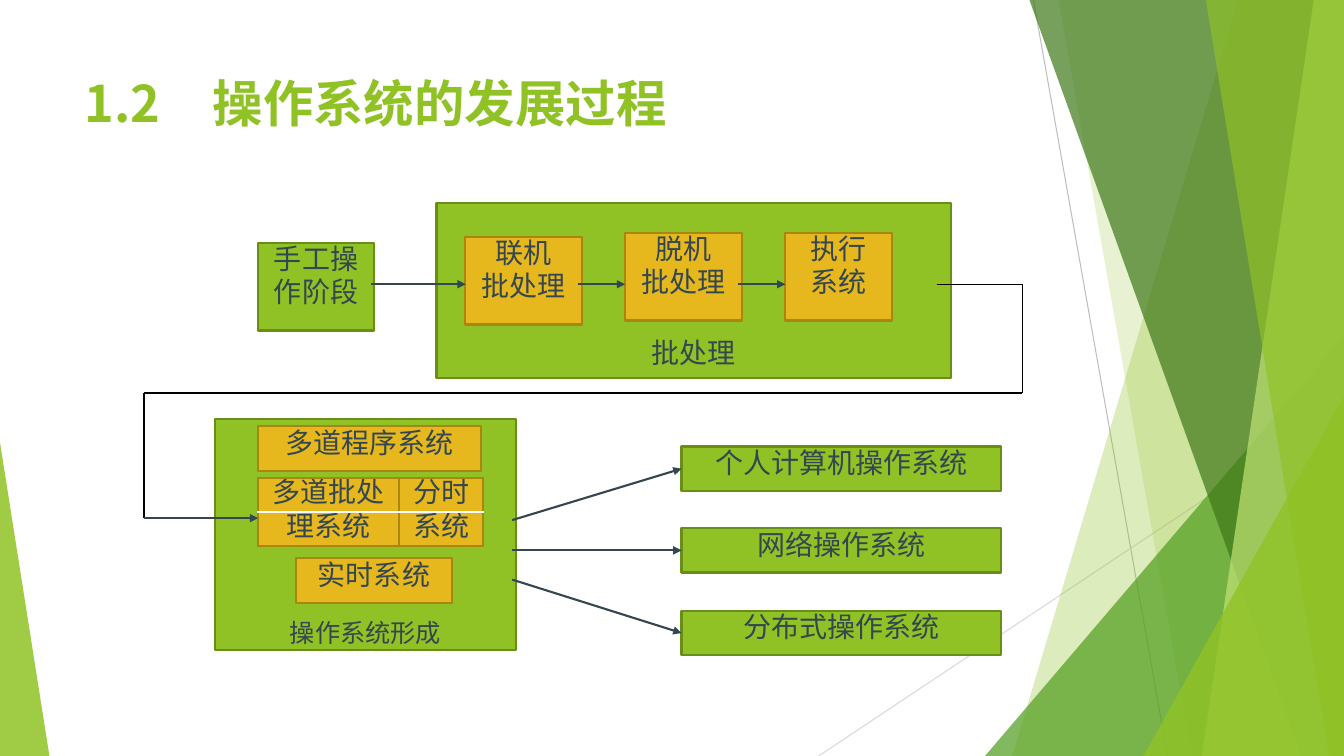
import dataclasses

import lxml.etree
import pptx
import pptx.dml.color
import pptx.enum.shapes
import pptx.enum.text
import pptx.oxml
import pptx.oxml.ns
import pptx.util

Inches = pptx.util.Inches
Pt = pptx.util.Pt
qn = pptx.oxml.ns.qn
CENTER = pptx.enum.text.PP_ALIGN.CENTER


@dataclasses.dataclass(frozen=True)
class Theme:
    """Colours, fonts and type sizes of the slide."""
    green: str = "90C225"
    green_edge: str = "688E18"
    gold: str = "E6B81E"
    gold_edge: str = "A98612"
    ink: str = "34464F"
    black: str = "000000"
    leaf: str = "539F20"
    forest: str = "3E7818"
    lime: str = "C0E374"
    gray: str = "BEBEBE"
    pale_gray: str = "D9D9D9"
    title_font: str = "Noto Sans CJK TC"
    body_font: str = "Noto Sans CJK SC"
    title_size: float = 36
    body_size: float = 20
    caption_size: float = 18
    leading: float = 23.2
    edge_width: float = 1.5


def rgb(color):
    """Turn a hex string into a colour."""
    return pptx.dml.color.RGBColor.from_string(color)


def write(para, text, *, font, size, color, bold=False, align=None, leading=None, before=0, tab=None):
    """Write one formatted span of text into a paragraph."""
    if tab:
        tabs = lxml.etree.SubElement(para._p.get_or_add_pPr(), qn("a:tabLst"))
        lxml.etree.SubElement(tabs, qn("a:tab"), pos=str(Inches(tab)), algn="l")
    para.alignment = align
    para.space_before = Pt(before)
    if leading:
        para.line_spacing = Pt(leading)
    span = para.add_run()
    span.text = text
    span.font.name, span.font.size, span.font.bold = font, Pt(size), bold
    span.font.color.rgb = rgb(color)
    lxml.etree.SubElement(span.font._element, qn("a:ea"), typeface=font)


class Page:
    """The current slide together with its theme."""

    def __init__(self, slide, theme):
        """Keep the slide's shapes and the theme."""
        self.shapes, self.theme = slide.shapes, theme

    def frame(self, box):
        """Clear the insets of a shape and return its text frame."""
        frame = box.text_frame
        frame.word_wrap = True
        frame.margin_left = frame.margin_top = frame.margin_right = frame.margin_bottom = 0
        frame.vertical_anchor = pptx.enum.text.MSO_ANCHOR.TOP
        return frame

    def facet(self, points, color, opacity):
        """Draw a translucent polygon."""
        corners = [(Inches(x), Inches(y)) for x, y in points]
        builder = self.shapes.build_freeform(*corners[0], scale=1.0)
        builder.add_line_segments(corners[1:], close=True)
        shape = builder.convert_to_shape()
        shape.shadow.inherit = False
        shape.line.fill.background()
        shape.fill.solid()
        shape.fill.fore_color.rgb = rgb(color)
        tint = shape._element.spPr.find(".//" + qn("a:srgbClr"))
        lxml.etree.SubElement(tint, qn("a:alpha"), val=str(opacity * 1000))

    def label(self, text, left, top, width, height, **style):
        """Place a line of text without a box."""
        box = self.shapes.add_textbox(Inches(left), Inches(top), Inches(width), Inches(height))
        write(self.frame(box).paragraphs[0], text, **style)

    def body(self, **changes):
        """Return the body text format with changes."""
        base = dict(font=self.theme.body_font, size=self.theme.body_size, color=self.theme.ink,
                    align=CENTER)
        return base | changes

    def box(self, lines, left, top, width, height, fill, edge):
        """Draw a bordered rectangle with centred lines."""
        box = self.shapes.add_shape(pptx.enum.shapes.MSO_SHAPE.RECTANGLE, Inches(left),
                                    Inches(top), Inches(width), Inches(height))
        box.shadow.inherit = False
        box.fill.solid()
        box.fill.fore_color.rgb = rgb(fill)
        box.line.color.rgb = rgb(edge)
        box.line.width = Pt(self.theme.edge_width)
        frame = self.frame(box)
        for index, text in enumerate(lines):
            para = frame.add_paragraph() if index else frame.paragraphs[0]
            write(para, text, **self.body(leading=self.theme.leading))
        return box

    def green_box(self, lines, *place):
        """Draw a green stage box."""
        return self.box(lines, *place, self.theme.green, self.theme.green_edge)

    def gold_box(self, lines, *place):
        """Draw a gold system box."""
        return self.box(lines, *place, self.theme.gold, self.theme.gold_edge)

    def line(self, start, end, color, width, arrow=False, target=None):
        """Draw a straight line, with an arrowhead or joined to a target's left side if asked."""
        link = self.shapes.add_connector(pptx.enum.shapes.MSO_CONNECTOR.STRAIGHT,
                                         *(Inches(value) for value in (*start, *end)))
        link.line.color.rgb = rgb(color)
        link.line.width = Pt(width)
        if arrow:
            lxml.etree.SubElement(link.line._get_or_add_ln(), qn("a:tailEnd"), type="triangle")
        lxml.etree.SubElement(link._element.spPr, qn("a:effectLst"))
        if target is not None:
            link.end_connect(target, 1)

    def arrow(self, start, end, target=None):
        """Draw a flow arrow."""
        self.line(start, end, self.theme.ink, self.theme.edge_width, True, target)

    def table(self, rows, left, top, widths, row_height):
        """Draw a gold table whose rows run together."""
        grid = self.shapes.add_table(len(rows), len(widths), Inches(left), Inches(top),
                                     Inches(sum(widths)), Inches(row_height * len(rows))).table
        grid.first_row = grid.horz_banding = False
        for column, width in zip(grid.columns, widths):
            column.width = Inches(width)
        for r, row in enumerate(rows):
            for c, text in enumerate(row):
                cell = grid.cell(r, c)
                cell.margin_left = cell.margin_top = cell.margin_right = cell.margin_bottom = 0
                write(cell.text_frame.paragraphs[0], text, **self.body(leading=self.theme.leading))
                for side in ("lnL", "lnR", "lnB" if r else "lnT"):
                    self.border(cell, side)
                cell.fill.solid()
                cell.fill.fore_color.rgb = rgb(self.theme.gold)

    def border(self, cell, side):
        """Add one border to a cell."""
        line = lxml.etree.SubElement(cell._tc.get_or_add_tcPr(), qn("a:" + side),
                                     w=str(Pt(self.theme.edge_width)))
        fill = lxml.etree.SubElement(line, qn("a:solidFill"))
        lxml.etree.SubElement(fill, qn("a:srgbClr"), val=self.theme.gold_edge)


def draw_backdrop(page):
    """Draw the facets at the slide's edges."""
    theme, right, bottom = page.theme, 13.33, 7.5
    page.line((10.25, 0), (11.58, bottom), theme.gray, 0.75)
    page.line((right, 4.03), (8.12, bottom), theme.pale_gray, 0.75)
    corner = (right, bottom)
    for points, color, opacity in (
        ([(right, 0), (12.28, 0), (10.04, bottom), corner], theme.green, 30),
        ([(right, 0), (10.5, 0), (11.82, bottom), corner], theme.green, 20),
        ([(right, 3.33), (9.77, bottom), corner], theme.leaf, 72),
        ([(right, 0), (10.21, 0), (12.91, bottom), corner], theme.forest, 70),
        ([(right, 0), (13.03, 0), (11.92, bottom), corner], theme.lime, 70),
        ([(right, 0), (11.96, 0), (13.18, bottom), corner], theme.green, 65),
        ([(right, 3.93), (11.34, bottom), corner], theme.green, 80),
        ([(0, 4.39), (0, bottom), (0.49, bottom)], theme.green, 85),
    ):
        page.facet(points, color, opacity)


def draw_flow(page):
    """Draw the stages of development and their links."""
    theme = page.theme
    page.green_box(["手工操", "作阶段"], 2.56, 2.41, 1.15, 0.87)
    page.green_box([], 4.33, 2.01, 5.1, 1.74)
    page.label("批处理", 6.45, 3.33, 0.86, 0.36, **page.body())
    page.gold_box(["联机", "批处理"], 4.61, 2.35, 1.16, 0.87)
    page.gold_box(["脱机", "批处理"], 6.2, 2.31, 1.16, 0.87)
    page.gold_box(["执行", "系统"], 7.79, 2.31, 1.06, 0.87)
    for start, end in ((3.68, 4.62), (5.73, 6.2), (7.32, 7.79)):
        page.arrow((start, 2.82), (end, 2.82))

    page.green_box([], 2.13, 4.16, 2.99, 2.29)
    page.label("操作系统形成", 2.86, 6.12, 1.53, 0.33, **page.body(size=theme.caption_size))
    page.gold_box(["多道程序系统"], 2.56, 4.23, 2.21, 0.44)
    page.table([["多道批处", "分时"], ["理系统", "系统"]], 2.56, 4.74, [1.4, 0.83], 0.34)
    page.gold_box(["实时系统"], 2.94, 5.54, 1.54, 0.44)
    route = [(9.29, 2.82), (10.14, 2.82), (10.14, 3.9), (1.43, 3.9), (1.43, 5.14)]
    for start, end in zip(route, route[1:]):
        page.line(start, end, theme.black, 1)
    page.arrow(route[-1], (2.56, 5.14))

    for text, top, start in (("个人计算机操作系统", 4.43, 5.16), ("网络操作系统", 5.24, 5.46),
                             ("分布式操作系统", 6.06, 5.75)):
        box = page.green_box([text], 6.76, top, 3.17, 0.44)
        page.arrow((5.08, start), (6.76, top + 0.22), box)


def main():
    """Build and save the slide."""
    deck = pptx.Presentation()
    deck.slide_width, deck.slide_height = Inches(13.33), Inches(7.5)
    theme = Theme()
    page = Page(deck.slides.add_slide(deck.slide_layouts[6]), theme)
    draw_backdrop(page)
    page.label("1.2\t操作系统的发展过程", 0.84, 0.72, 5.9, 0.63, font=theme.title_font,
               size=theme.title_size, color=theme.green, bold=True, tab=1.27)
    draw_flow(page)
    deck.save("out.pptx")


if __name__ == "__main__":
    main()
